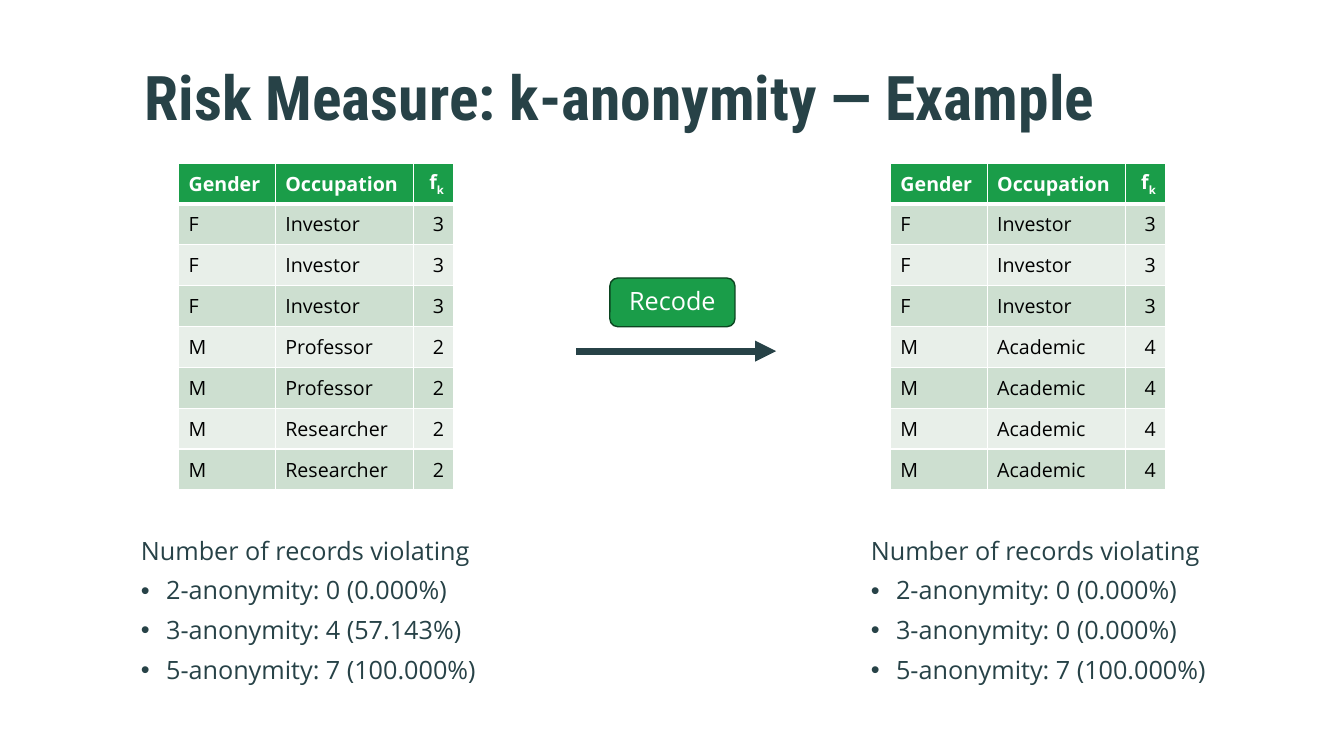
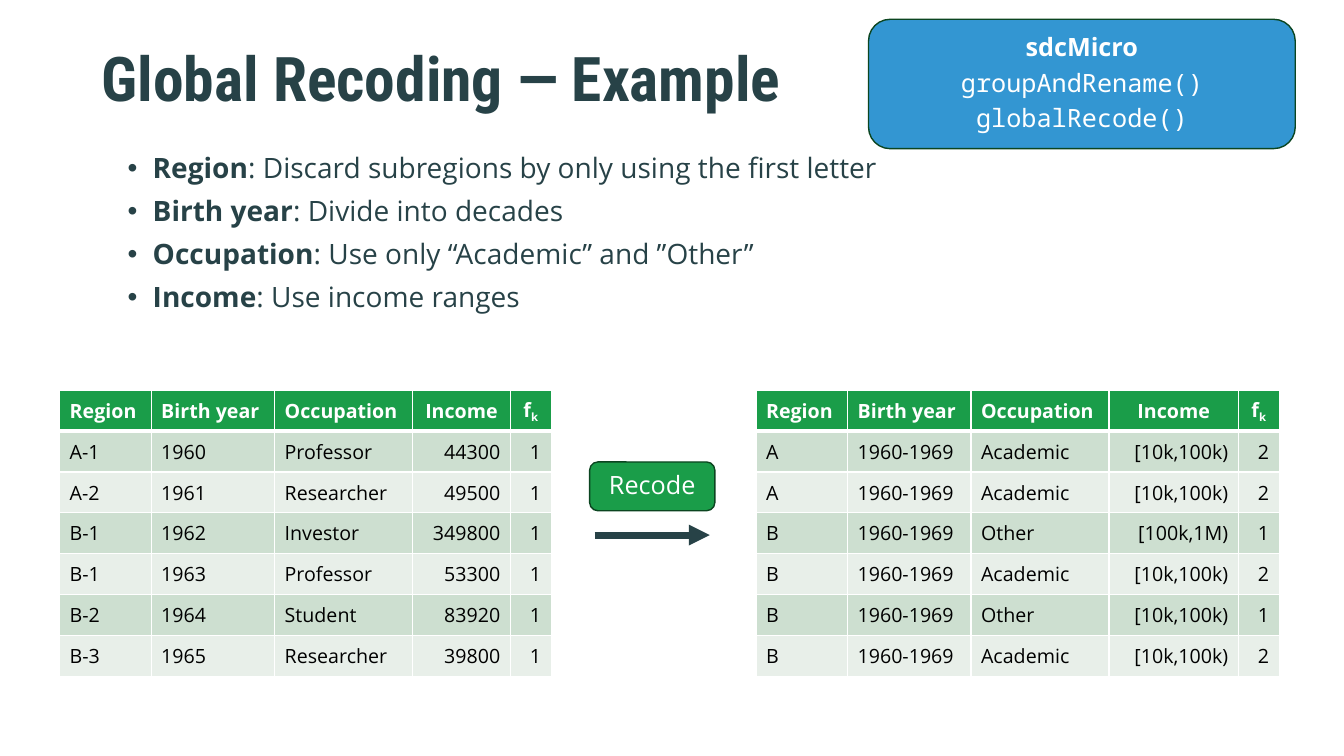
from pptx import Presentation
from pptx.dml.color import RGBColor
from pptx.enum.shapes import MSO_CONNECTOR, MSO_SHAPE
from pptx.enum.text import MSO_ANCHOR, MSO_AUTO_SIZE, PP_ALIGN
from pptx.oxml.ns import qn
from pptx.util import Inches, Pt
from lxml import etree

SLIDE_WIDTH, SLIDE_HEIGHT = Inches(13.33), Inches(7.5)
COLUMNS, ROWS = 160, 90
TITLE_ONLY = 5

INK = RGBColor(0x27, 0x42, 0x47)
GREEN = RGBColor(0x1A, 0x9D, 0x49)
DARK_GREEN = RGBColor(0x0B, 0x45, 0x20)
BLUE = RGBColor(0x33, 0x96, 0xD2)
BAND = RGBColor(0xCD, 0xDF, 0xD0)
PALE_BAND = RGBColor(0xE8, 0xEF, 0xE9)
WHITE = RGBColor(0xFF, 0xFF, 0xFF)
BLACK = RGBColor(0x00, 0x00, 0x00)

LEFT, CENTER, RIGHT = PP_ALIGN.LEFT, PP_ALIGN.CENTER, PP_ALIGN.RIGHT
MIDDLE = MSO_ANCHOR.MIDDLE
NO_AUTOFIT = MSO_AUTO_SIZE.NONE
STRAIGHT = MSO_CONNECTOR.STRAIGHT
ROUNDED = MSO_SHAPE.ROUNDED_RECTANGLE

TITLE_FONT = {"name": "Roboto Condensed", "size": Pt(44), "bold": True}
BODY_FONT = {"name": "Open Sans", "size": Pt(18), "bold": False}
LARGE_FONT = {**BODY_FONT, "size": Pt(20)}
CELL_FONT = {**BODY_FONT, "size": Pt(14)}
HEADER_FONT = {**CELL_FONT, "bold": True}
PACKAGE_FONT = {**BODY_FONT, "bold": True}
CODE_FONT = {**BODY_FONT, "name": "Noto Sans Mono"}

TITLE_FRAME = {"margin_top": 0, "word_wrap": True, "auto_size": NO_AUTOFIT,
               "vertical_anchor": MIDDLE}
BODY_PARAGRAPH = {"line_spacing": 0.9, "space_after": Pt(9)}
INDENT = Inches(0.25)

ROW_HEIGHT = 4.87
REGION, BIRTH_YEAR, GENDER, OCCUPATION, FREQUENCY = 10.9, 14.7, 11.52, 16.44, 4.85
BADGE_WIDTH, BADGE_HEIGHT, BADGE_RISE = 14.9, 5.8, 8.7


def across(columns):
    return round(SLIDE_WIDTH * columns / COLUMNS)


def down(rows):
    return round(SLIDE_HEIGHT * rows / ROWS)


def area(left, top, width, height):
    return across(left), down(top), across(width), down(height)


def apply(target, values):
    for name, value in values.items():
        setattr(target, name, value)


def add_text(paragraph, text, font_values, color):
    run = paragraph.add_run()
    run.text = text
    apply(run.font, font_values)
    run.font.color.rgb = color
    return run


def add_bullet(paragraph):
    properties = paragraph._p.get_or_add_pPr()
    properties.set("marL", str(INDENT))
    properties.set("indent", str(-INDENT))
    etree.SubElement(properties, qn("a:buFont"), typeface="Arial")
    etree.SubElement(properties, qn("a:buChar"), char="•")


def add_titled_slide(deck, text, box):
    slide = deck.slides.add_slide(deck.slide_layouts[TITLE_ONLY])
    title = slide.shapes.title
    title.left, title.top, title.width, title.height = area(*box)
    apply(title.text_frame, TITLE_FRAME)
    heading = title.text_frame.paragraphs[0]
    apply(heading, {"alignment": LEFT, "line_spacing": 0.9})
    add_text(heading, text, TITLE_FONT, INK)
    return slide


def add_body(slide, box, bullets, font_values, intro=None):
    frame = slide.shapes.add_textbox(*area(*box)).text_frame
    frame.word_wrap = True
    lines = [(None, intro)] if intro else []
    lines += bullets
    for index, (term, text) in enumerate(lines):
        line = frame.add_paragraph() if index else frame.paragraphs[0]
        if not (intro and index == 0):
            add_bullet(line)
        apply(line, BODY_PARAGRAPH)
        if term:
            add_text(line, term, {**font_values, "bold": True}, INK)
        add_text(line, text, font_values, INK)


def add_borders(cell, widths):
    properties = cell._tc.get_or_add_tcPr()
    for side, points in widths.items():
        border = etree.SubElement(properties, qn(f"a:ln{side}"), w=str(Pt(points)))
        fill = etree.SubElement(border, qn("a:solidFill"))
        etree.SubElement(fill, qn("a:srgbClr"), val=str(WHITE))


def style_cell(cell, row):
    add_borders(cell, {"L": 1, "R": 1, "T": 3 if row == 1 else 1,
                       "B": 3 if row == 0 else 1})
    cell.fill.solid()
    cell.fill.fore_color.rgb = GREEN if row == 0 else BAND if row % 2 else PALE_BAND
    cell.vertical_anchor = MIDDLE


def add_records(slide, left, top, widths, headers, records, header_aligns, aligns):
    lines = [headers + ["f"]] + records
    table = slide.shapes.add_table(
        len(lines), len(widths),
        *area(left, top, sum(widths), ROW_HEIGHT * len(lines))).table
    table.horz_banding = False
    for column, width in zip(table.columns, widths):
        column.width = across(width)
    for row, values in enumerate(lines):
        table.rows[row].height = down(ROW_HEIGHT)
        font_values, color = (CELL_FONT, BLACK) if row else (HEADER_FONT, WHITE)
        for column, value in enumerate(values):
            cell = table.cell(row, column)
            style_cell(cell, row)
            entry = cell.text_frame.paragraphs[0]
            entry.alignment = (aligns if row else header_aligns)[column]
            add_text(entry, value, font_values, color)
    subscript = add_text(table.cell(0, len(widths) - 1).text_frame.paragraphs[0],
                         "k", HEADER_FONT, WHITE)
    subscript._r.get_or_add_rPr().set("baseline", "-25000")


def add_badge(slide, box, color, lines):
    badge = slide.shapes.add_shape(ROUNDED, *area(*box))
    badge.shadow.inherit = False
    badge.fill.solid()
    badge.fill.fore_color.rgb = color
    badge.line.color.rgb = DARK_GREEN
    badge.line.width = Pt(1)
    frame = badge.text_frame
    apply(frame, {"word_wrap": True, "vertical_anchor": MIDDLE})
    for index, (text, font_values) in enumerate(lines):
        line = frame.add_paragraph() if index else frame.paragraphs[0]
        apply(line, {"alignment": CENTER, "line_spacing": 0.9})
        if index:
            line.space_before = Pt(6)
        add_text(line, text, font_values, WHITE)


def add_recode_step(slide, start, end, level, badge_left):
    arrow = slide.shapes.add_connector(
        STRAIGHT, across(start), down(level), across(end), down(level))
    arrow.line.color.rgb = INK
    arrow.line.width = Pt(5)
    etree.SubElement(arrow.line._get_or_add_ln(), qn("a:tailEnd"), type="triangle")
    etree.SubElement(arrow._element.spPr, qn("a:effectLst"))
    add_badge(slide, (badge_left, level - BADGE_RISE, BADGE_WIDTH, BADGE_HEIGHT),
              GREEN, [("Recode", BODY_FONT)])


def build_anonymity(deck):
    slide = add_titled_slide(deck, "Risk Measure: k-anonymity — Example",
                             (16, 7.2, 126.7, 10.2))
    investors = [["F", "Investor", "3"]] * 3
    before = investors + [["M", "Professor", "2"]] * 2 + [["M", "Researcher", "2"]] * 2
    after = investors + [["M", "Academic", "4"]] * 4
    aligns = [LEFT, LEFT, RIGHT]
    sides = [(21.25, 15.6, before, ["0 (0.000%)", "4 (57.143%)", "7 (100.000%)"]),
             (106, 102.5, after, ["0 (0.000%)", "0 (0.000%)", "7 (100.000%)"])]
    for table_left, body_left, records, violations in sides:
        add_records(slide, table_left, 19.4, [GENDER, OCCUPATION, FREQUENCY],
                    ["Gender", "Occupation"], records, aligns, aligns)
        bullets = [(None, f"{k}-anonymity: {count}")
                   for k, count in zip((2, 3, 5), violations)]
        add_body(slide, (body_left, 63.5, 49.4, 24), bullets, BODY_FONT,
                 "Number of records violating")
    add_recode_step(slide, 68.6, 92.4, 41.8, 72.6)


def build_recoding(deck):
    slide = add_titled_slide(deck, "Global Recoding — Example", (10.9, 4.9, 92, 10.3))
    add_body(slide, (14, 17.8, 134.4, 27.2), [
        ("Region", ": Discard subregions by only using the first letter"),
        ("Birth year", ": Divide into decades"),
        ("Occupation", ": Use only “Academic” and ”Other”"),
        ("Income", ": Use income ranges")], LARGE_FONT)
    before = [["A-1", "1960", "Professor", "44300", "1"],
              ["A-2", "1961", "Researcher", "49500", "1"],
              ["B-1", "1962", "Investor", "349800", "1"],
              ["B-1", "1963", "Professor", "53300", "1"],
              ["B-2", "1964", "Student", "83920", "1"],
              ["B-3", "1965", "Researcher", "39800", "1"]]
    after = [[region, "1960-1969", occupation, income, frequency]
             for region, occupation, income, frequency in [
                 ("A", "Academic", "[10k,100k)", "2"),
                 ("A", "Academic", "[10k,100k)", "2"),
                 ("B", "Other", "[100k,1M)", "1"),
                 ("B", "Academic", "[10k,100k)", "2"),
                 ("B", "Other", "[10k,100k)", "1"),
                 ("B", "Academic", "[10k,100k)", "2")]]
    for left, income_width, records in [(7.1, 11.64, before), (90, 15.4, after)]:
        add_records(slide, left, 46.45,
                    [REGION, BIRTH_YEAR, OCCUPATION, income_width, FREQUENCY],
                    ["Region", "Birth year", "Occupation", "Income"], records,
                    [LEFT] * 3 + [CENTER] * 2, [LEFT] * 3 + [RIGHT] * 2)
    add_recode_step(slide, 70.8, 84.5, 63.7, 70.2)
    add_badge(slide, (103.4, 2.3, 50.8, 15.4), BLUE, [
        ("sdcMicro", PACKAGE_FONT),
        ("groupAndRename()", CODE_FONT),
        ("globalRecode()", CODE_FONT)])


def main():
    deck = Presentation()
    deck.slide_width, deck.slide_height = SLIDE_WIDTH, SLIDE_HEIGHT
    build_anonymity(deck)
    build_recoding(deck)
    deck.save("out.pptx")


if __name__ == "__main__":
    main()
